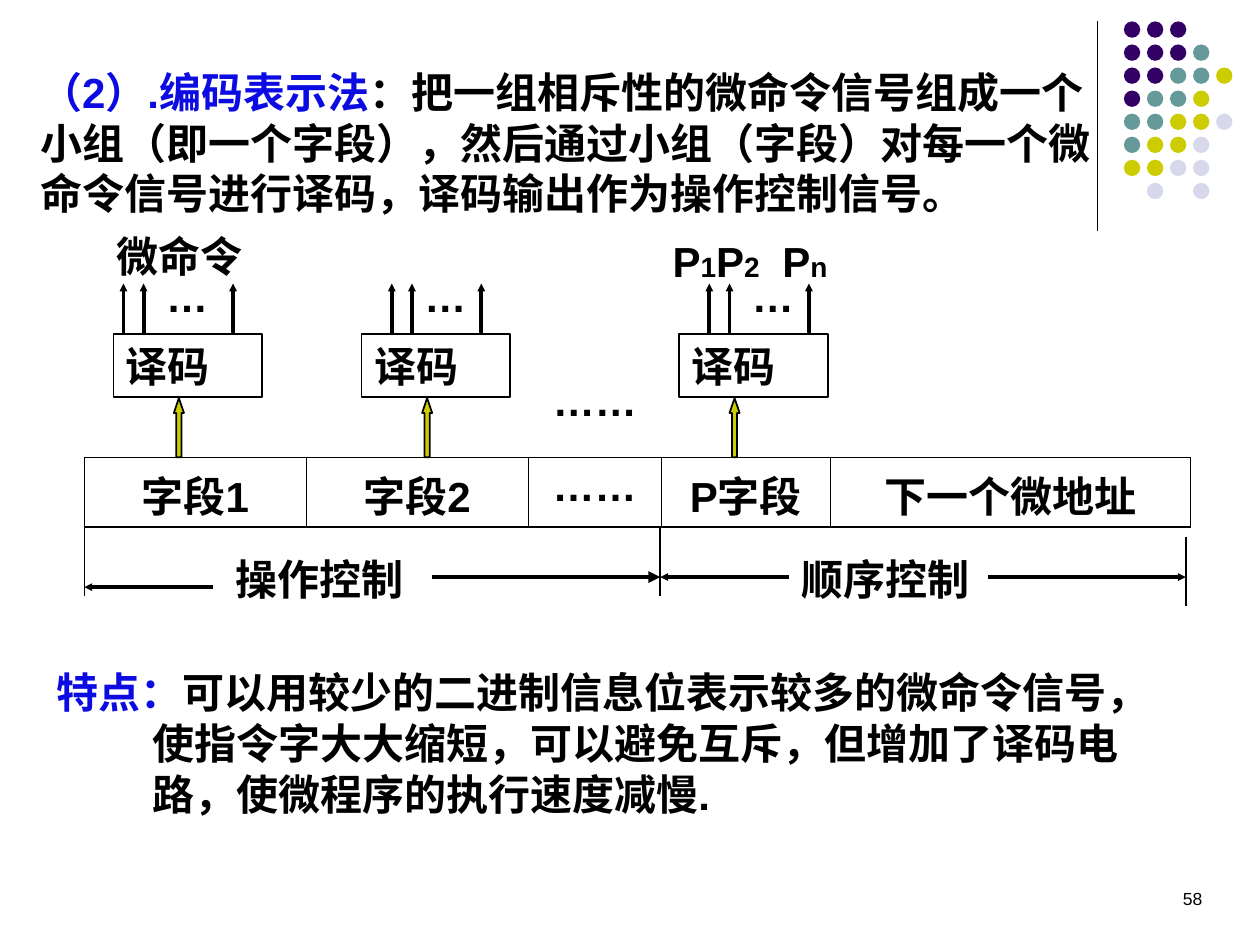
from lxml.etree import SubElement
from pptx import Presentation
from pptx.dml.color import RGBColor
from pptx.enum.lang import MSO_LANGUAGE_ID as Language
from pptx.enum.shapes import MSO_CONNECTOR as Connector, MSO_SHAPE as Shape
from pptx.enum.text import PP_ALIGN as Align
from pptx.oxml.ns import qn
from pptx.util import Inches, Pt

BLACK = RGBColor(0x00, 0x00, 0x00)
BLUE = RGBColor(0x0C, 0x0C, 0xE2)
PURPLE = RGBColor(0x33, 0x00, 0x66)
TEAL = RGBColor(0x66, 0x99, 0x99)
YELLOW = RGBColor(0xCC, 0xCC, 0x00)
LAVENDER = RGBColor(0xD8, 0xD8, 0xEC)

DOT_COLORS = {"P": PURPLE, "T": TEAL, "Y": YELLOW, "L": LAVENDER}
DOT_ROWS = ["PPP", "PPPT", "PPTTY", "PTTY", "TTYYL", "TYYL", "YYLL", " L L"]
DOT_STEP = 0.183

DECODERS = [
    (0.90, 1.38, 1.22, (0.98, 1.14, 1.85)),
    (2.87, 3.35, 3.27, (3.11, 3.27, 3.82)),
    (5.39, 5.79, 5.87, (5.63, 5.79, 6.42)),
]
FIELDS = [("字段1", 1.76), ("字段2", 1.76), ("……", 1.06),
          ("P字段", 1.34), ("下一个微地址", 2.86)]


class SlideBuilder:
    """Draws styled elements on the current slide."""

    def __init__(self, slide, font="Arial", size=24):
        self.slide, self.font, self.size = slide, font, size

    def run(self, paragraph, text, color=BLACK, size=None, bold=True):
        run = paragraph.add_run()
        run.text = text
        run.font.name = self.font
        run.font.size = Pt(size or self.size)
        run.font.bold = bold
        run.font.color.rgb = color
        run.font.language_id = Language.SIMPLIFIED_CHINESE

    def text(self, left, top, width, height, *runs, wrap=True):
        box = self.slide.shapes.add_textbox(
            Inches(left), Inches(top), Inches(width), Inches(height))
        box.text_frame.word_wrap = wrap
        paragraph = box.text_frame.paragraphs[0]
        for run in runs:
            self.run(paragraph, *run)
        return box.text_frame

    def shape(self, kind, left, top, width, height, fill=None, line=None):
        shape = self.slide.shapes.add_shape(
            kind, Inches(left), Inches(top), Inches(width), Inches(height))
        shape.shadow.inherit = False
        if fill is None:
            shape.fill.background()
        else:
            shape.fill.solid()
            shape.fill.fore_color.rgb = fill
        if line is None:
            shape.line.fill.background()
        else:
            shape.line.color.rgb = BLACK
            shape.line.width = Pt(line)
        return shape

    def line(self, x1, y1, x2, y2, width=1, head=None):
        line = self.slide.shapes.add_connector(
            Connector.STRAIGHT, Inches(x1), Inches(y1), Inches(x2), Inches(y2))
        line.line.color.rgb = BLACK
        line.line.width = Pt(width)
        if head:
            SubElement(line.line._get_or_add_ln(), qn("a:tailEnd"),
                       type="triangle", w=head, len=head)
        SubElement(line._element.spPr, qn("a:effectLst"))

    def arrow(self, x1, y1, x2, y2, head="sm"):
        self.line(x1, y1, x2, y2, 2.25, head)

    def border(self, cell, side, width):
        edge = SubElement(cell._tc.get_or_add_tcPr(), qn(f"a:ln{side}"), w=str(Pt(width)))
        fill = SubElement(edge, qn("a:solidFill"))
        SubElement(fill, qn("a:srgbClr"), val=str(BLACK))

    def table(self, left, top, height, fields):
        total = sum(width for _, width in fields)
        table = self.slide.shapes.add_table(
            1, len(fields), Inches(left), Inches(top), Inches(total), Inches(height)).table
        table.first_row = table.horz_banding = False
        table.rows[0].height = Inches(height)
        last = len(fields) - 1
        for column, (label, width) in enumerate(fields):
            table.columns[column].width = Inches(width)
            cell = table.cell(0, column)
            paragraph = cell.text_frame.paragraphs[0]
            paragraph.alignment = Align.CENTER
            paragraph.space_before = Pt(6)
            self.run(paragraph, label)
            self.border(cell, "L", 1.08 if column == 0 else 0.45)
            self.border(cell, "R", 1.08 if column == last else 0.45)
            self.border(cell, "T", 1.08)
            self.border(cell, "B", 1.08)
            cell.fill.background()

    def dots(self, left, top):
        for row, pattern in enumerate(DOT_ROWS):
            for column, key in enumerate(pattern):
                if key in DOT_COLORS:
                    self.shape(Shape.OVAL, left + column * DOT_STEP, top + row * DOT_STEP,
                               0.13, 0.13, DOT_COLORS[key])

    def decoder(self, left, feed, ellipsis, outputs):
        feed_arrow = self.shape(Shape.UP_ARROW, feed, 3.16, 0.08, 0.47, YELLOW, 1)
        feed_arrow.adjustments[1] = 1.48
        frame = self.shape(Shape.RECTANGLE, left, 2.65, 1.18, 0.5, line=1).text_frame
        frame.vertical_anchor = None
        paragraph = frame.paragraphs[0]
        paragraph.alignment = Align.LEFT
        self.run(paragraph, "译码")
        frame._txBody.bodyPr.set("anchor", "t")
        for output in outputs:
            self.arrow(output, 2.65, output, 2.25)
        self.text(ellipsis, 2.1, 0.53, 0.5, ("…",), wrap=False)


def main():
    deck = Presentation()
    deck.slide_width, deck.slide_height = Inches(10), Inches(7.5)
    page = SlideBuilder(deck.slides.add_slide(deck.slide_layouts[6]))

    page.line(8.71, 0.17, 8.71, 1.83, 0.75)
    page.dots(8.92, 0.17)
    number = page.text(9.25, 7, 0.39, 0.37, ("58", BLACK, 10, False), wrap=False)
    number.paragraphs[0].alignment = Align.RIGHT

    page.text(0.22, 0.48, 8.64, 1.3, ("（2）.编码表示法", BLUE),
              ("：把一组相斥性的微命令信号组成一个小组（即一个字段），然后通过小组（字段）"
               "对每一个微命令信号进行译码，译码输出作为操作控制信号。",))

    traits = page.text(0.35, 5.32, 8.98, 1.23, ("特点：", BLUE),
                       ("可以用较少的二进制信息位表示较多的微命令信号，",))
    for continuation in ("使指令字大大缩短，可以避免互斥，但增加了译码电",
                         "路，使微程序的执行速度减慢."):
        paragraph = traits.add_paragraph()
        paragraph._p.get_or_add_pPr().set("marL", str(Inches(0.76)))
        page.run(paragraph, continuation)
    for paragraph in traits.paragraphs:
        paragraph.line_spacing = 0.8
        paragraph.space_before = Pt(6)

    page.table(0.67, 3.63, 0.55, FIELDS)
    page.text(4.29, 2.92, 1.02, 0.5, ("……",))
    for decoder in DECODERS:
        page.decoder(*decoder)

    for x, top in ((0.67, 4.18), (5.24, 4.18), (9.41, 4.26)):
        page.line(x, top, x, top + 0.55)
    page.arrow(1.69, 4.66, 0.67, 4.66)
    page.arrow(3.43, 4.58, 5.24, 4.58, "med")
    page.arrow(6.26, 4.58, 5.24, 4.58)
    page.arrow(7.84, 4.58, 9.41, 4.58)
    page.text(1.77, 4.34, 1.57, 0.5, ("操作控制",))
    page.text(6.26, 4.34, 1.57, 0.5, ("顺序控制",))

    page.text(0.83, 1.78, 1.49, 0.5, ("微命令",))
    outputs = page.text(5.24, 1.82, 1.89, 0.5, ("P",), ("1", BLACK, 16), ("P",),
                        ("2", BLACK, 16), ("\tP",), ("n", BLACK, 16))
    stops = SubElement(outputs.paragraphs[0]._p.get_or_add_pPr(), qn("a:tabLst"))
    SubElement(stops, qn("a:tab"), pos=str(Inches(0.87)), algn="l")

    deck.save("out.pptx")


if __name__ == "__main__":
    main()
